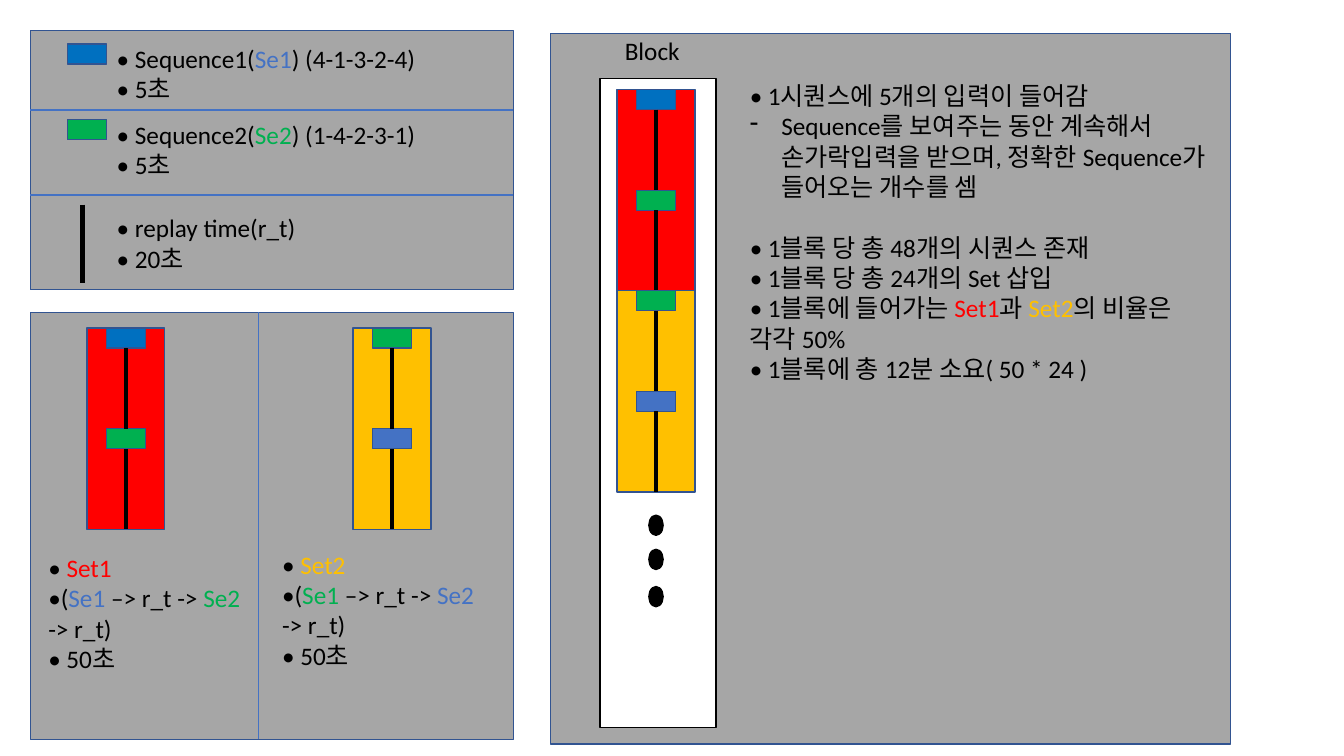
from lxml.etree import SubElement
from pptx import Presentation
from pptx.dml.color import RGBColor
from pptx.enum.shapes import MSO_CONNECTOR as Connector, MSO_SHAPE as Shape
from pptx.enum.text import MSO_AUTO_SIZE as AutoSize
from pptx.oxml.ns import qn
from pptx.util import Pt

BLACK = RGBColor(0x00, 0x00, 0x00)
WHITE = RGBColor(0xFF, 0xFF, 0xFF)
GRAY = RGBColor(0xA6, 0xA6, 0xA6)
OUTLINE = RGBColor(0x32, 0x54, 0x91)
BLUE = RGBColor(0x00, 0x70, 0xC0)
ACCENT = RGBColor(0x44, 0x72, 0xC4)
GREEN = RGBColor(0x00, 0xB0, 0x50)
RED = RGBColor(0xFF, 0x00, 0x00)
GOLD = RGBColor(0xFF, 0xC0, 0x00)

TOP, BOTTOM = 0, 2
TOKEN_W, TOKEN_H = 28.1, 14.4
SET_W, SET_H = 55.6, 144


def apply(target, values):
    for name, value in values.items():
        setattr(target, name, value)


class Board:
    font = {"name": "Calibri", "size": Pt(18)}
    frame = {"word_wrap": True, "auto_size": AutoSize.SHAPE_TO_FIT_TEXT}

    def __init__(self, slide):
        self.slide = slide

    def group(self):
        return self.slide.shapes.add_group_shape().shapes

    def box(self, left, top, width, height, fill, line=OUTLINE, kind=Shape.RECTANGLE, shapes=None):
        home = self.slide.shapes if shapes is None else shapes
        box = home.add_shape(kind, Pt(left), Pt(top), Pt(width), Pt(height))
        box.shadow.inherit = False
        box.fill.solid()
        box.fill.fore_color.rgb = fill
        box.line.color.rgb = line
        box.line.width = Pt(1)
        return box

    def token(self, left, top, fill, shapes=None):
        return self.box(left, top, TOKEN_W, TOKEN_H, fill, shapes=shapes)

    def line(self, x1, y1, x2, y2, color=BLACK, width=3, shapes=None):
        home = self.slide.shapes if shapes is None else shapes
        line = home.add_connector(Connector.STRAIGHT, Pt(x1), Pt(y1), Pt(x2), Pt(y2))
        line.line.color.rgb = color
        line.line.width = Pt(width)
        SubElement(line._element.spPr, qn("a:effectLst"))
        return line

    def text(self, left, top, width, height, paragraphs):
        box = self.slide.shapes.add_textbox(Pt(left), Pt(top), Pt(width), Pt(height))
        frame = box.text_frame
        apply(frame, self.frame)
        for index, pieces in enumerate(paragraphs):
            paragraph = frame.add_paragraph() if index else frame.paragraphs[0]
            for piece in pieces:
                words, color = piece if isinstance(piece, tuple) else (piece, BLACK)
                run = paragraph.add_run()
                run.text = words
                apply(run.font, self.font)
                run.font.color.rgb = color
        return frame.paragraphs

    def dash(self, paragraph, indent):
        properties = paragraph._p.get_or_add_pPr()
        properties.set("marL", str(Pt(indent)))
        properties.set("indent", str(-Pt(indent)))
        SubElement(properties, qn("a:buFontTx"))
        SubElement(properties, qn("a:buChar"), char="-")

    def sequence_set(self, left, top, fill, first_color, second_color, shapes):
        middle = left + SET_W / 2
        token_left = middle - TOKEN_W / 2
        half = top + SET_H / 2
        body = self.box(left, top, SET_W, SET_H, fill, shapes=shapes)
        first = self.token(token_left, top, first_color, shapes)
        second = self.token(token_left, half, second_color, shapes)
        replay = self.line(middle, top + TOKEN_H, middle, half, shapes=shapes)
        replay.begin_connect(first, BOTTOM)
        replay.end_connect(second, TOP)
        replay = self.line(middle, half + TOKEN_H, middle, top + SET_H, shapes=shapes)
        replay.begin_connect(second, BOTTOM)
        replay.end_connect(body, BOTTOM)


def main():
    deck = Presentation()
    apply(deck, {"slide_width": Pt(960), "slide_height": Pt(540)})
    board = Board(deck.slides.add_slide(deck.slide_layouts[6]))

    board.box(393.1, 23.8, 486, 507.6, GRAY)
    board.box(21.6, 223.2, 345.2, 305, GRAY)
    board.box(21.6, 21.6, 345.2, 185.4, GRAY)

    for top, token_color, number, name_color, order in (
        (27.4, BLUE, 1, ACCENT, "4-1-3-2-4"),
        (81.4, GREEN, 2, GREEN, "1-4-2-3-1"),
    ):
        board.token(48.2, top + 4, token_color)
        board.text(76.3, top, 342.7, 51.1, [
            [f"• Sequence{number}(", (f"Se{number}", name_color), f") ({order})"],
            ["• 5초"],
        ])
    board.line(59, 146.2, 59, 202.3)
    board.text(76.3, 148.3, 312.5, 51.1, [["• replay time(r_t)"], ["• 20초"]])
    for y in (78.7, 139.2):
        board.line(21.6, y, 366.8, y, ACCENT, 1)
    board.line(184.5, 223.2, 184.5, 528.2, ACCENT, 1)

    sets = (
        ("Set1", RED, BLUE, GREEN, ACCENT, GREEN),
        ("Set2", GOLD, GREEN, ACCENT, GREEN, ACCENT),
    )
    places = ((62.1, 27.4, 391, 155.5), (252.2, 194.4, 388.8, 160.6))
    for (name, fill, first, second, se1, se2), (left, text_left, text_top, width) in zip(sets, places):
        board.sequence_set(left, 234.2, fill, first, second, board.group())
        board.text(text_left, text_top, width, 94.3, [
            ["• ", (name, fill)],
            ["•(", ("Se1", se1), " –> r_t -> ", ("Se2 ", se2), "-> r_t)"],
            ["• 50초"],
        ])

    board.text(439.2, 21.6, 56.9, 28.8, [["Block"]])
    block = board.group()
    board.box(428.6, 56.2, 82.8, 463.7, WHITE, BLACK, shapes=block)
    for top in (368, 392.4, 419):
        board.box(463.5, top, 10.2, 14.4, BLACK, BLACK, Shape.OVAL, block)
    for index, (name, fill, first, second, *rest) in enumerate(sets):
        board.sequence_set(440.8, 63.9 + index * 143.6, fill, first, second, block)

    rules = board.text(528.5, 54, 342.7, 225.4, [
        ["• 1시퀀스에 5개의 입력이 들어감"],
        ["Sequence를 보여주는 동안 계속해서 손가락입력을 받으며, 정확한 Sequence가 들어오는 개수를 셈"],
        ["• 1블록 당 총 48개의 시퀀스 존재"],
        ["• 1블록 당 총 24개의 Set 삽입"],
        ["• 1블록에 들어가는 ", ("Set1", RED), "과 ", ("Set2", GOLD), "의 비율은 각각 50%"],
        ["• 1블록에 총 12분 소요( 50 * 24 )"],
    ])
    board.dash(rules[1], 22.5)
    rules[2].space_before = Pt(22)

    deck.save("out.pptx")


if __name__ == "__main__":
    main()
